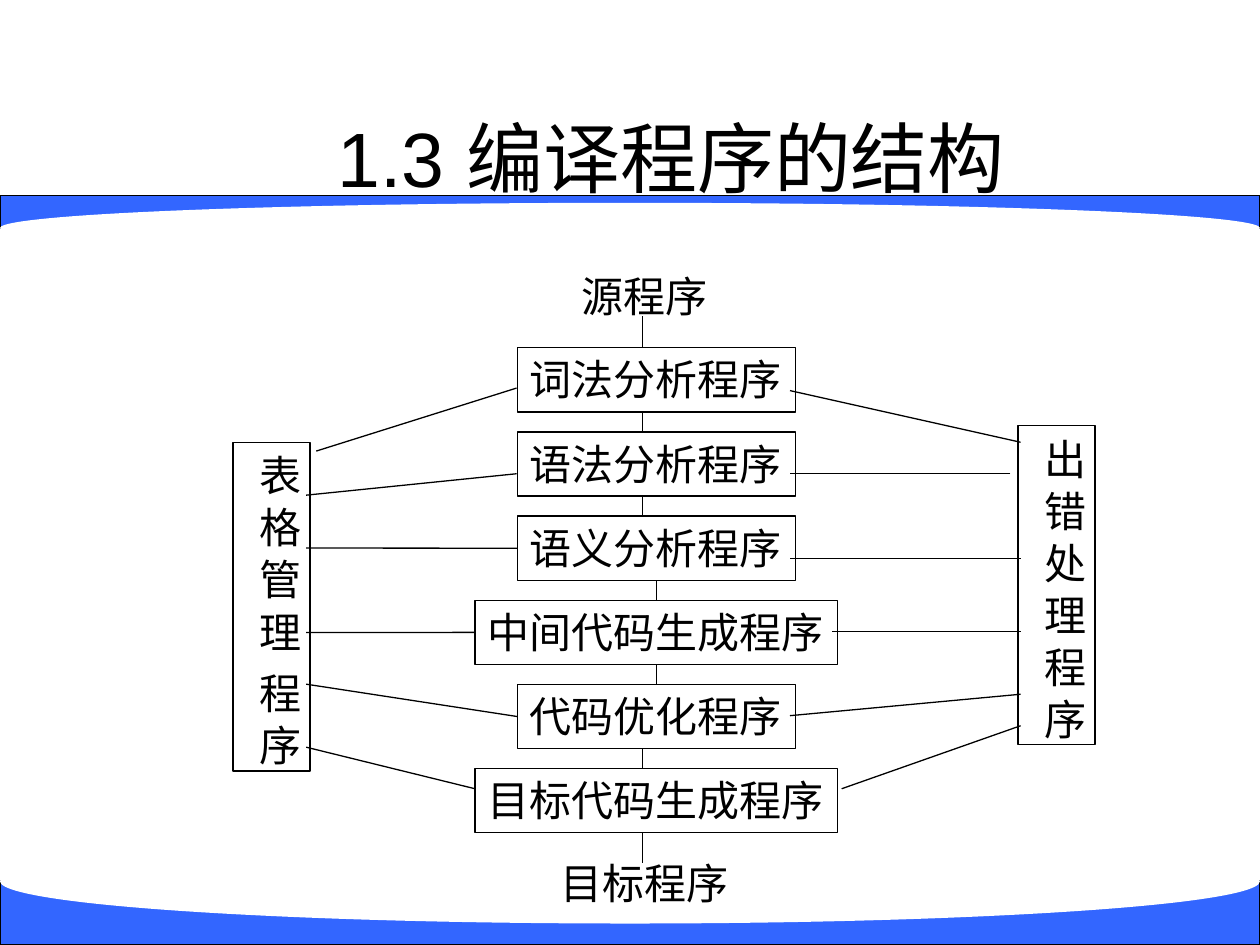
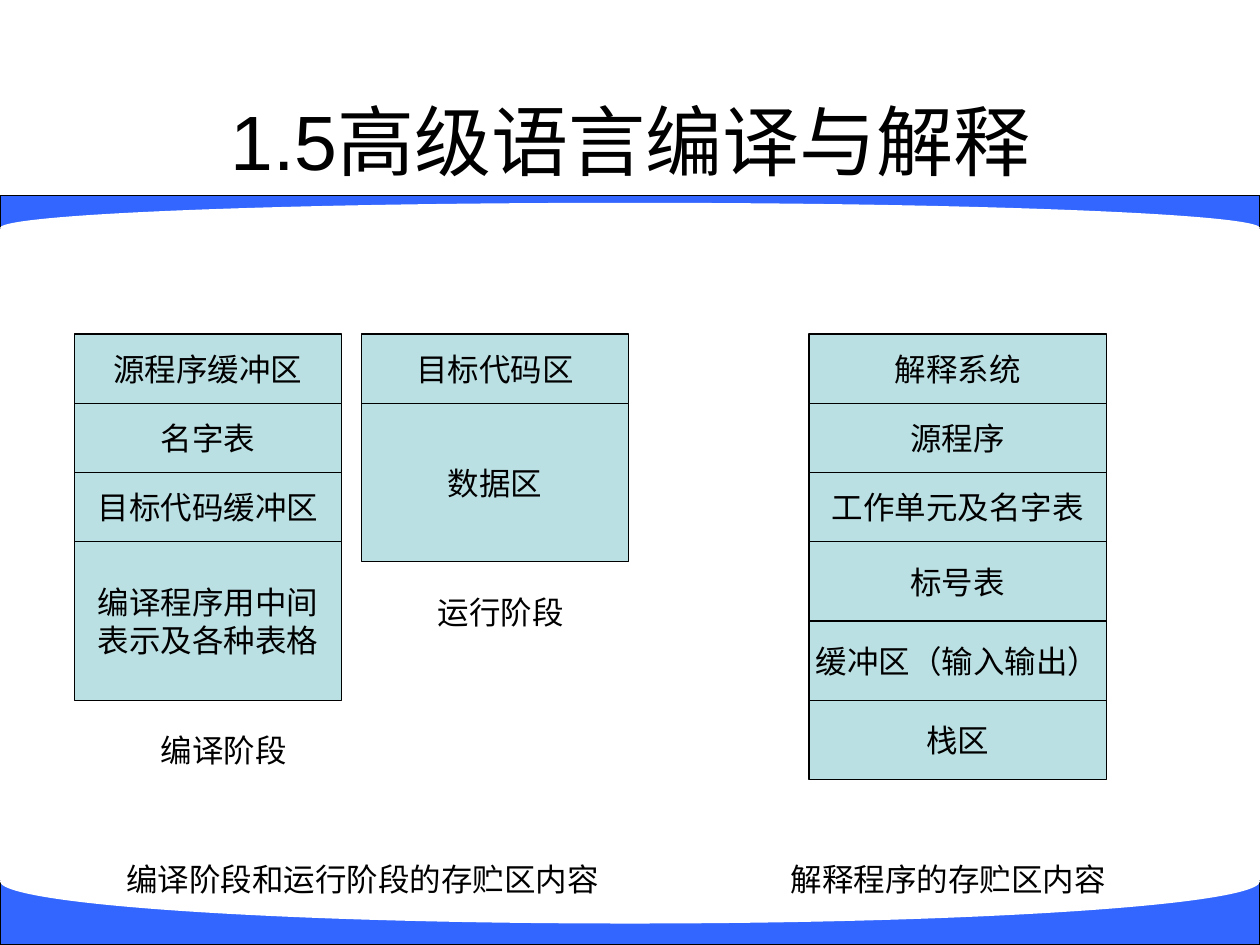
from dataclasses import dataclass
from typing import NamedTuple

from lxml import etree
from pptx import Presentation
from pptx.dml.color import RGBColor
from pptx.enum.shapes import MSO_CONNECTOR, MSO_SHAPE
from pptx.enum.text import MSO_ANCHOR, PP_ALIGN
from pptx.oxml.ns import qn
from pptx.util import Inches, Pt

RECT, ELLIPSE = MSO_SHAPE.RECTANGLE, MSO_SHAPE.OVAL
STRAIGHT = MSO_CONNECTOR.STRAIGHT
LEFT, CENTER = PP_ALIGN.LEFT, PP_ALIGN.CENTER
TOP, MIDDLE = MSO_ANCHOR.TOP, MSO_ANCHOR.MIDDLE
SITE_TOP, SITE_LEFT, SITE_BOTTOM = 0, 1, 2


class TextStyle(NamedTuple):
    font: str
    size: int
    align: PP_ALIGN
    anchor: MSO_ANCHOR


@dataclass(frozen=True)
class Theme:
    ink: RGBColor = RGBColor(0, 0, 0)
    paper: RGBColor = RGBColor(0xFF, 0xFF, 0xFF)
    band: RGBColor = RGBColor(0x33, 0x66, 0xFF)
    cell: RGBColor = RGBColor(0xBB, 0xE0, 0xE3)
    line_width: float = 0.75
    title: TextStyle = TextStyle("Arial", 44, CENTER, MIDDLE)
    diagram: TextStyle = TextStyle("Times New Roman", 24, LEFT, TOP)
    memory: TextStyle = TextStyle("Karla", 18, CENTER, MIDDLE)


THEME = Theme()


class Box(NamedTuple):
    left: float
    top: float
    width: float
    height: float


class Label(NamedTuple):
    text: str
    box: Box


class Link(NamedTuple):
    """Ends of a line from a side module to a stage."""
    start: tuple[float, float]
    end: tuple[float, float]


class Cell(NamedTuple):
    text: str
    height: float
    wrap: bool = False


class Stack(NamedTuple):
    left: float
    width: float
    cells: list[Cell]


BANDS = [
    (Box(0, 1.55, 10, 0.26), Box(0, 1.61, 10, 0.4)),
    (Box(0, 6.99, 10, 0.51), Box(0, 6.66, 10, 0.67)),
]

STAGES = ["词法分析程序", "语法分析程序", "语义分析程序",
          "中间代码生成程序", "代码优化程序", "目标代码生成程序"]
STAGE_TOP, LAST_STAGE_TOP, STAGE_HEIGHT = 2.76, 6.1, 0.51
STAGE_PITCH = (LAST_STAGE_TOP - STAGE_TOP) / (len(STAGES) - 1)
STAGE_CENTER, STEM_X = 5.21, 5.1
CHAR_PAIR_WIDTH, STAGE_MARGIN = 0.67, 0.2
CENTRED_STEMS = (2, 3)
LEFT_JOINED_STAGES = (2, 3, 4)

PROGRAM_LABELS = [Label("源程序", Box(4.52, 2.1, 1.2, 0.5)),
                  Label("目标程序", Box(4.35, 6.76, 1.53, 0.5))]
SIDE_MODULES = [Label("出 错 处 理 程 序", Box(8.08, 3.38, 0.61, 2.53)),
                Label("表 格 管 理  程 序", Box(1.85, 3.51, 0.61, 2.61))]
TABLE_LINKS = [
    Link((2.51, 3.58), (4.1, 3.08)),
    Link((2.43, 3.93), (4.1, 3.76)),
    Link((2.43, 4.35), (4.1, 4.35)),
    Link((2.43, 5.02), (3.77, 5.02)),
    Link((2.43, 5.43), (4.1, 5.68)),
    Link((2.43, 5.93), (3.77, 6.26)),
]
ERROR_LINKS = [
    Link((8.1, 3.51), (6.27, 3.1)),
    Link((8.02, 3.76), (6.27, 3.76)),
    Link((8.1, 4.43), (6.27, 4.43)),
    Link((8.1, 5.01), (6.6, 5.01)),
    Link((8.1, 5.51), (6.27, 5.68)),
    Link((8.1, 5.76), (6.68, 6.26)),
]

STACK_TOP = 2.65
ROW, MID_ROW, TALL_ROW = 0.55, 0.63, 1.26
STACKS = [
    Stack(0.59, 2.12, [
        Cell("源程序缓冲区", ROW), Cell("名字表", ROW), Cell("目标代码缓冲区", ROW),
        Cell("编译程序用中间表示及各种表格", TALL_ROW, wrap=True)]),
    Stack(2.87, 2.12, [Cell("目标代码区", ROW), Cell("数据区", TALL_ROW)]),
    Stack(6.42, 2.36, [
        Cell("解释系统", ROW), Cell("源程序", ROW), Cell("工作单元及名字表", ROW),
        Cell("标号表", MID_ROW), Cell("缓冲区（输入输出）", MID_ROW),
        Cell("栈区", MID_ROW)]),
]
CAPTIONS = [
    Label("编译阶段和运行阶段的存贮区内容", Box(1.85, 6.74, 2.05, 0.47)),
    Label("编译阶段", Box(0.75, 5.72, 2.05, 0.47)),
    Label("运行阶段", Box(2.95, 4.62, 2.05, 0.47)),
    Label("解释程序的存贮区内容", Box(6.5, 6.74, 2.05, 0.47)),
]


def place(box: Box) -> list[int]:
    return [Inches(v) for v in box]


def write(sp, text: str, style: TextStyle, wrap: bool = False) -> None:
    tf = sp.text_frame
    tf.word_wrap = wrap
    tf.vertical_anchor = style.anchor
    p = tf.paragraphs[0]
    p.alignment = style.align
    r = p.add_run()
    r.text = text
    r.font.name = style.font
    r.font.size = Pt(style.size)
    r.font.color.rgb = THEME.ink


def add_text(s, label: Label, style: TextStyle, wrap: bool = False) -> None:
    write(s.shapes.add_textbox(*place(label.box)), label.text, style, wrap)


def add_block(s, box: Box, fill: RGBColor | None = None,
              kind: MSO_SHAPE = RECT, outlined: bool = True):
    sp = s.shapes.add_shape(kind, *place(box))
    sp.shadow.inherit = False
    if fill is None:
        sp.fill.background()
    else:
        sp.fill.solid()
        sp.fill.fore_color.rgb = fill
    if outlined:
        sp.line.color.rgb = THEME.ink
        sp.line.width = Pt(THEME.line_width)
    else:
        sp.line.fill.background()
    return sp


def add_line(s, start: tuple[float, float], end: tuple[float, float]):
    line = s.shapes.add_connector(STRAIGHT, *[Inches(v) for v in (*start, *end)])
    line.line.color.rgb = THEME.ink
    line.line.width = Pt(THEME.line_width)
    etree.SubElement(line._element.spPr, qn("a:effectLst"))
    return line


def add_base_slide(prs, title: Label):
    """Add a slide with the curved bands and its title."""
    s = prs.slides.add_slide(prs.slide_layouts[6])
    for bar, curve in BANDS:
        add_block(s, bar, THEME.band)
        add_block(s, curve, THEME.paper, ELLIPSE, outlined=False)
    add_text(s, title, THEME.title, wrap=True)
    return s


def add_stages(s) -> list:
    stages = []
    for i, text in enumerate(STAGES):
        width = len(text) / 2 * CHAR_PAIR_WIDTH + STAGE_MARGIN
        box = Box(STAGE_CENTER - width / 2, STAGE_TOP + i * STAGE_PITCH,
                  width, STAGE_HEIGHT)
        sp = add_block(s, box)
        write(sp, text, THEME.diagram)
        stages.append(sp)
    return stages


def add_stems(s, stages: list) -> None:
    """Draw the vertical flow from source program to target program."""
    add_line(s, (STEM_X, 2.51), (STEM_X, STAGE_TOP))
    for i, (upper, lower) in enumerate(zip(stages, stages[1:])):
        top = STAGE_TOP + i * STAGE_PITCH
        line = add_line(s, (STEM_X, top + STAGE_HEIGHT), (STEM_X, top + STAGE_PITCH))
        if i in CENTRED_STEMS:
            line.begin_connect(upper, SITE_BOTTOM)
            line.end_connect(lower, SITE_TOP)
    add_line(s, (STEM_X, LAST_STAGE_TOP + STAGE_HEIGHT), (STEM_X, 6.85))


def build_structure(prs) -> None:
    s = add_base_slide(prs, Label("1.3 编译程序的结构", Box(1.08, 0.83, 8.5, 0.83)))
    for label in PROGRAM_LABELS:
        add_text(s, label, THEME.diagram)
    stages = add_stages(s)
    for module in SIDE_MODULES:
        sp = add_block(s, module.box)
        write(sp, module.text, THEME.diagram)
        sp.text_frame._txBody.bodyPr.set("vert", "eaVert")
    add_stems(s, stages)
    for i, link in enumerate(TABLE_LINKS):
        line = add_line(s, *link)
        if i in LEFT_JOINED_STAGES:
            line.end_connect(stages[i], SITE_LEFT)
    for link in ERROR_LINKS:
        add_line(s, *link)


def build_memory(prs) -> None:
    s = add_base_slide(prs, Label("1.5高级语言编译与解释", Box(0.51, 0.68, 9, 0.86)))
    for stack in STACKS:
        top = STACK_TOP
        for cell in stack.cells:
            sp = add_block(s, Box(stack.left, top, stack.width, cell.height), THEME.cell)
            write(sp, cell.text, THEME.memory, cell.wrap)
            top += cell.height
    for caption in CAPTIONS:
        sp = add_block(s, caption.box, outlined=False)
        write(sp, caption.text, THEME.memory)


def main() -> None:
    prs = Presentation()
    prs.slide_width, prs.slide_height = Inches(10), Inches(7.5)
    build_structure(prs)
    build_memory(prs)
    prs.save("out.pptx")


if __name__ == "__main__":
    main()
